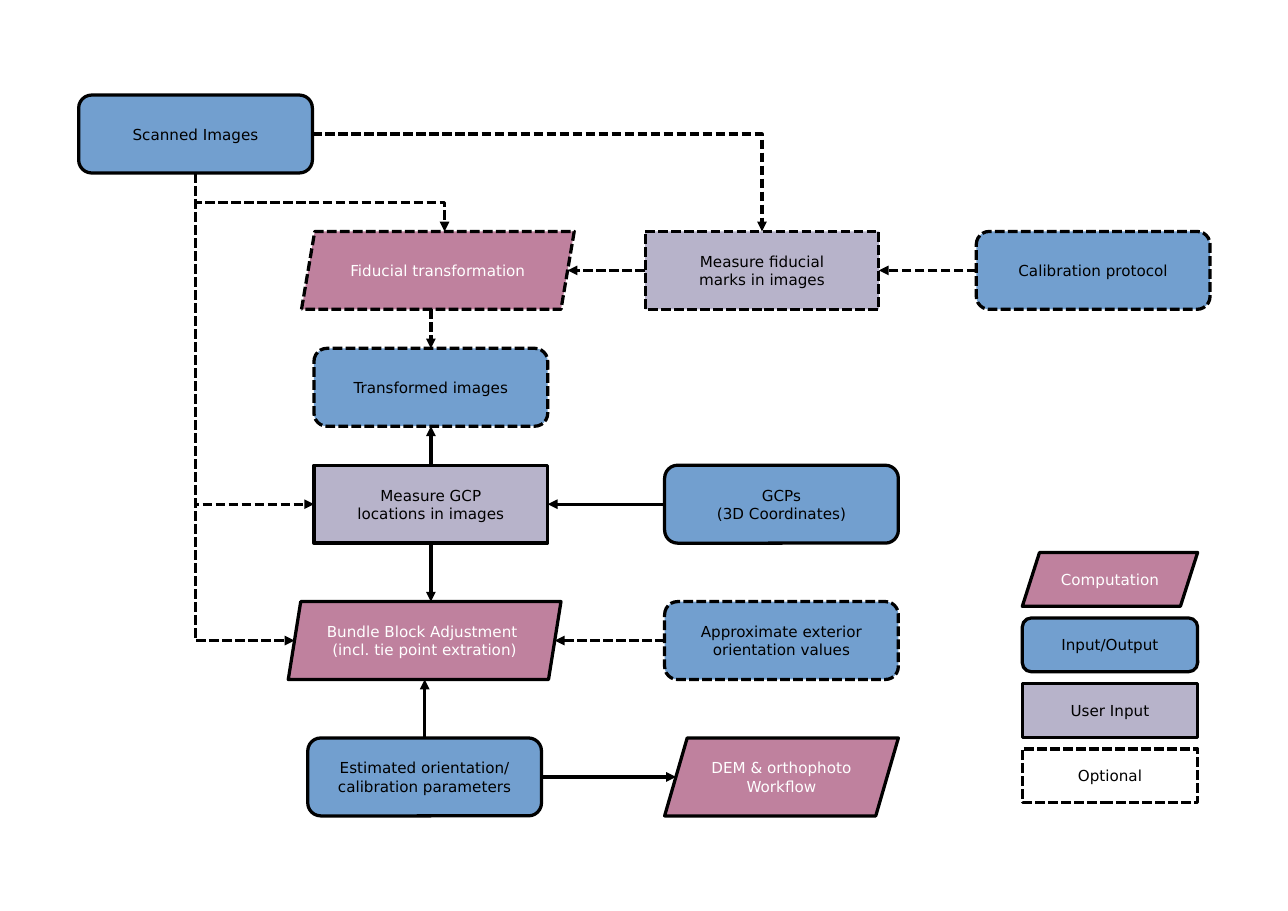
"""Builds the photogrammetry workflow diagram with its legend."""
import lxml.etree
import pptx
import pptx.dml.color
import pptx.enum.dml
import pptx.enum.shapes
import pptx.enum.text
import pptx.oxml.ns
import pptx.util

Inches = pptx.util.Inches
Preset = pptx.enum.shapes.MSO_SHAPE
Link = pptx.enum.shapes.MSO_CONNECTOR
qn = pptx.oxml.ns.qn

KINDS = {
    "computation": (Preset.PARALLELOGRAM, "BF819E", "FFFFFF"),
    "data": (Preset.ROUNDED_RECTANGLE, "729FCF", "000000"),
    "user": (Preset.RECTANGLE, "B7B3CA", "000000"),
    "blank": (Preset.RECTANGLE, "FFFFFF", "000000"),
}
WIDTHS = {"wide": 3.5, "normal": 3}
STEP_HEIGHT = 1

# name: (text, kind, optional, left, top, width, slant)
STEPS = {
    "scans": ("Scanned Images", "data", False, 1.01, 1.22, "normal", 0),
    "fiducial": ("Fiducial transformation", "computation", True, 3.87, 2.97, "wide", 0.17),
    "marks": ("Measure fiducial\vmarks in images", "user", True, 8.28, 2.97, "normal", 0),
    "protocol": ("Calibration protocol", "data", True, 12.53, 2.97, "normal", 0),
    "transformed": ("Transformed images", "data", True, 4.03, 4.47, "normal", 0),
    "locations": ("Measure GCP\vlocations in images", "user", False, 4.03, 5.97, "normal", 0),
    "gcps": ("GCPs\v(3D Coordinates)", "data", False, 8.53, 5.97, "normal", 0),
    "bundle": ("Bundle Block Adjustment \v(incl. tie point extration)", "computation", False,
               3.7, 7.72, "wide", 0.16),
    "exterior": ("Approximate exterior orientation values", "data", True, 8.53, 7.72, "normal", 0),
    "estimated": ("Estimated orientation/\vcalibration parameters", "data", False,
                  3.95, 9.47, "normal", 0),
    "dem": ("DEM & orthophoto Workflow", "computation", False, 8.53, 9.47, "normal", 0.29),
}

# (from, side, to, side, route, optional)
FLOWS = [
    ("scans", "bottom", "fiducial", "top", "down and across", True),
    ("scans", "right", "marks", "top", "across", True),
    ("scans", "bottom", "locations", "left", "down", True),
    ("scans", "bottom", "bundle", "left", "down", True),
    ("protocol", "left", "marks", "right", "straight", True),
    ("marks", "left", "fiducial", "right", "straight", True),
    ("fiducial", "bottom", "transformed", "top", "straight", True),
    ("locations", "top", "transformed", "bottom", "straight", False),
    ("gcps", "left", "locations", "right", "straight", False),
    ("locations", "bottom", "bundle", "top", "straight", False),
    ("exterior", "left", "bundle", "right", "straight", True),
    ("estimated", "top", "bundle", "bottom", "straight", False),
    ("estimated", "right", "dem", "left", "straight", False),
]

LEGEND = [("Computation", "computation", False, 0.32), ("Input/Output", "data", False, 0),
          ("User Input", "user", False, 0), ("Optional", "blank", True, 0)]
LEGEND_LEFT, LEGEND_TOP, LEGEND_WIDTH, LEGEND_HEIGHT, LEGEND_PITCH = 13.12, 7.09, 2.25, 0.69, 0.84


def color(value):
    return pptx.dml.color.RGBColor.from_string(value)


def style_line(line, optional):
    line.color.rgb = color("000000")
    line.width = pptx.util.Pt(3)
    if optional:
        line.dash_style = pptx.enum.dml.MSO_LINE.SQUARE_DOT


def add_box(text, kind, optional, left, top, width, height, slant):
    preset, fill, ink = KINDS[kind]
    box = slide.shapes.add_shape(preset, *map(Inches, (left, top, width, height)))
    if slant:
        box.adjustments[0] = slant
    box.shadow.inherit = False
    box.fill.solid()
    box.fill.fore_color.rgb = color(fill)
    style_line(box.line, optional)
    frame = box.text_frame
    frame.word_wrap = True
    frame.vertical_anchor = pptx.enum.text.MSO_ANCHOR.MIDDLE
    frame.margin_left = frame.margin_right = Inches(0.12)
    frame.margin_top = frame.margin_bottom = Inches(0.07)
    frame.text = text
    for paragraph in frame.paragraphs:
        paragraph.alignment = pptx.enum.text.PP_ALIGN.CENTER
        for run in paragraph.runs:
            run.font.name = "DejaVu Sans"
            run.font.size = pptx.util.Pt(14)
            run.font.color.rgb = color(ink)


def dock(step, side):
    _, _, _, left, top, width_name, slant = STEPS[step]
    width, lean = WIDTHS[width_name], slant * STEP_HEIGHT / 2
    center, middle = left + width / 2, top + STEP_HEIGHT / 2
    return {"left": (left + lean, middle), "right": (left + width - lean, middle),
            "top": (center + lean, top), "bottom": (center - lean, top + STEP_HEIGHT)}[side]


def add_flow(source, exit_side, target, entry_side, route, optional):
    (x1, y1), (x2, y2) = dock(source, exit_side), dock(target, entry_side)
    if route == "straight":
        if exit_side in ("top", "bottom"):
            x1 = x2 = x1 if source != "fiducial" else x2
        else:
            y2 = y1
    starts_down = route.startswith("down")
    if starts_down:
        center, middle = (x1 + x2) / 2, (y1 + y2) / 2
        half_run, half_drop = (x2 - x1) / 2, (y2 - y1) / 2
        x1, x2 = center + half_drop, center - half_drop
        y1, y2 = middle - half_run, middle + half_run
    link = Link.STRAIGHT if route == "straight" else Link.ELBOW
    flow = slide.shapes.add_connector(link, *map(Inches, (x1, y1, x2, y2)))
    style_line(flow.line, optional)
    properties = flow._element.spPr
    if starts_down:
        properties.find(qn("a:xfrm")).set("rot", "16200000")
    if route in ("down", "across"):
        properties.find(qn("a:prstGeom")).set("prst", "bentConnector2")
    lxml.etree.SubElement(properties.find(qn("a:ln")), qn("a:tailEnd"), type="triangle")
    lxml.etree.SubElement(properties, qn("a:effectLst"))


deck = pptx.Presentation()
deck.slide_width, deck.slide_height = Inches(16.53), Inches(11.69)
slide = deck.slides.add_slide(deck.slide_layouts[6])

for text, kind, optional, left, top, width_name, slant in STEPS.values():
    add_box(text, kind, optional, left, top, WIDTHS[width_name], STEP_HEIGHT, slant)
for flow_row in FLOWS:
    add_flow(*flow_row)
for row, (text, kind, optional, slant) in enumerate(LEGEND):
    add_box(text, kind, optional, LEGEND_LEFT, LEGEND_TOP + row * LEGEND_PITCH,
            LEGEND_WIDTH, LEGEND_HEIGHT, slant)

deck.save("out.pptx")
